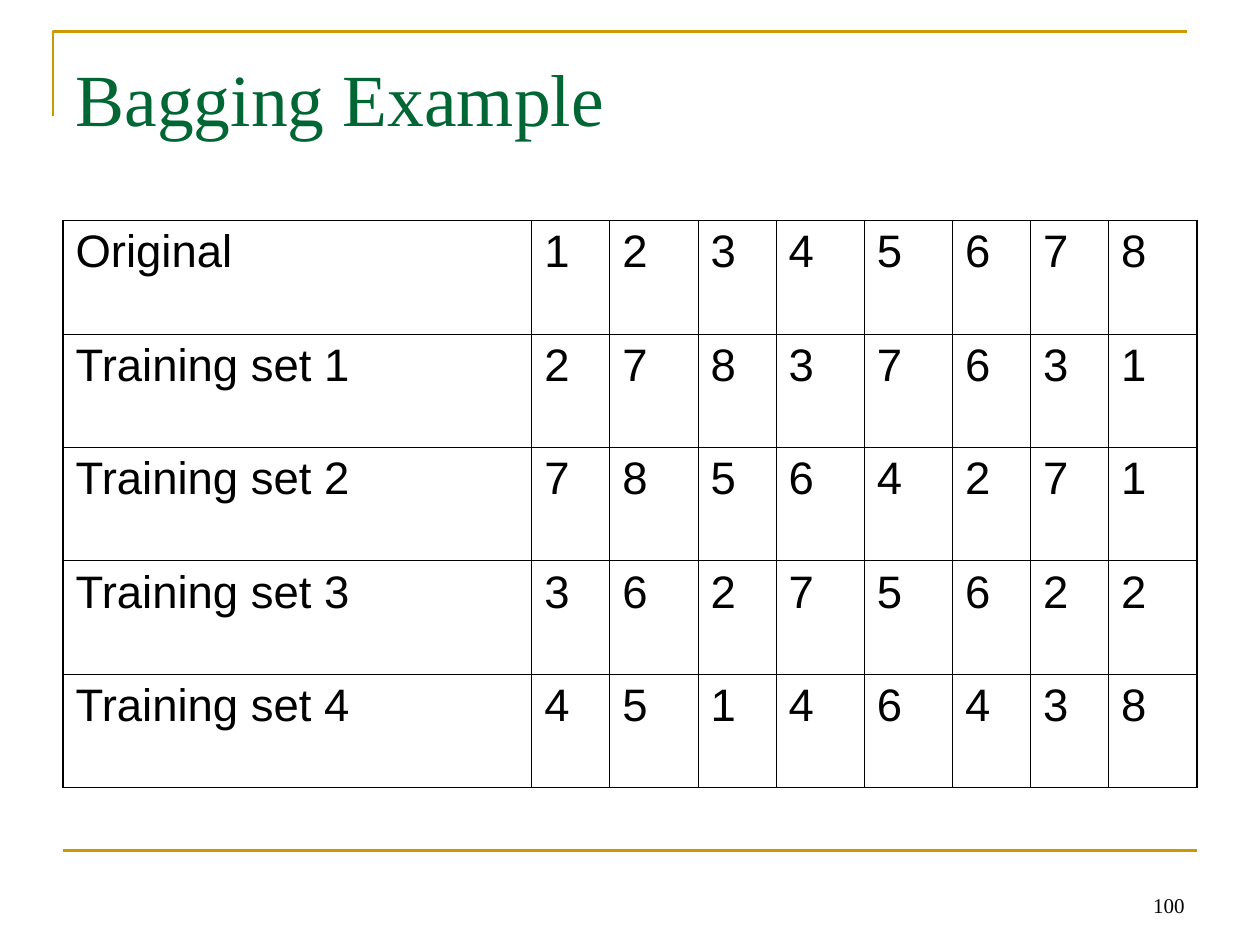
"""Build a slide with a table of bagging samples."""
from dataclasses import dataclass
from typing import Any

from lxml import etree
from pptx import Presentation
from pptx.dml.color import RGBColor
from pptx.enum import shapes, text
from pptx.oxml import ns
from pptx.util import Inches, Pt


@dataclass(frozen=True)
class Theme:
    ink: str = "000000"
    green: str = "006633"
    gold: str = "CC9900"
    serif: str = "Times New Roman"
    sans: str = "Arial"
    head: float = 42
    body: float = 26
    small: float = 12
    rule: float = 1.5
    edge: float = 1.08
    grid: float = 0.45


@dataclass(frozen=True)
class Row:
    label: str
    picks: str


THEME = Theme()
ROWS = [
    Row("Original", "12345678"),
    Row("Training set 1", "27837631"),
    Row("Training set 2", "78564271"),
    Row("Training set 3", "36275622"),
    Row("Training set 4", "45146438"),
]
SLIM, WIDE = 0.62, 0.7
COLS = [3.72, SLIM, WIDE, SLIM, WIDE, WIDE, SLIM, SLIM, WIDE]
HIGH = 0.9


def write(frame: Any, words: str, *, size: float, font: str = THEME.serif,
          color: str = THEME.ink, align: Any = text.PP_ALIGN.LEFT,
          before: float = 0) -> None:
    para = frame.paragraphs[0]
    para.alignment = align
    para.space_before = Pt(before)
    run = para.add_run()
    run.text = words
    run.font.size = Pt(size)
    run.font.name = font
    run.font.color.rgb = RGBColor.from_string(color)


def ink(line: Any) -> None:
    line.color.rgb = RGBColor.from_string(THEME.gold)
    line.width = Pt(THEME.rule)


def frame(slide: Any) -> None:
    left, top = Inches(0.42), Inches(0.25)
    pen = slide.shapes.build_freeform(left, Inches(0.92))
    pen.add_line_segments([(left, top), (Inches(9.42), top)], close=False)
    corner = pen.convert_to_shape()
    corner.shadow.inherit = False
    corner.fill.background()
    ink(corner.line)
    base = slide.shapes.add_connector(
        shapes.MSO_CONNECTOR.STRAIGHT,
        Inches(0.5), Inches(6.75), Inches(9.5), Inches(6.75))
    ink(base.line)
    etree.SubElement(base._element.spPr, ns.qn("a:effectLst"))


def border(cell: Any, sides: dict[str, float]) -> None:
    props = cell._tc.get_or_add_tcPr()
    for side, width in sides.items():
        line = etree.SubElement(props, ns.qn(f"a:ln{side}"), w=str(Pt(width)))
        fill = etree.SubElement(line, ns.qn("a:solidFill"))
        etree.SubElement(fill, ns.qn("a:srgbClr"), val=THEME.ink)


def table(slide: Any, rows: list[Row]) -> None:
    grid = slide.shapes.add_table(
        len(rows), len(COLS), Inches(0.5), Inches(1.75),
        Inches(sum(COLS)), Inches(HIGH * len(rows))).table
    grid.first_row = grid.horz_banding = False
    for col, width in zip(grid.columns, COLS):
        col.width = Inches(width)
    for r, row in enumerate(rows):
        for c, words in enumerate([row.label, *row.picks]):
            cell = grid.cell(r, c)
            outer = {"L": c == 0, "R": c == len(COLS) - 1,
                     "T": r == 0, "B": r == len(rows) - 1}
            border(cell, {side: THEME.edge if out else THEME.grid
                          for side, out in outer.items()})
            cell.fill.background()
            write(cell.text_frame, words, size=THEME.body,
                  font=THEME.sans, before=6.5)


def title(slide: Any, words: str) -> None:
    box = slide.shapes.title
    box.left, box.top = Inches(0.5), Inches(0.3)
    box.width, box.height = Inches(9), Inches(1.04)
    body = box.text_frame
    body.vertical_anchor = text.MSO_ANCHOR.TOP
    body.margin_top = Inches(0.12)
    write(body, words, size=THEME.head, color=THEME.green)


def number(slide: Any, words: str) -> None:
    body = slide.shapes.add_textbox(
        Inches(7.17), Inches(6.83), Inches(2.33), Inches(0.5)).text_frame
    body.word_wrap = True
    body.vertical_anchor = text.MSO_ANCHOR.BOTTOM
    write(body, words, size=THEME.small, align=text.PP_ALIGN.RIGHT)


def main() -> None:
    deck = Presentation()
    deck.slide_width, deck.slide_height = Inches(10), Inches(7.5)
    slide = deck.slides.add_slide(deck.slide_layouts[5])
    frame(slide)
    number(slide, "100")
    title(slide, "Bagging Example")
    table(slide, ROWS)
    deck.save("out.pptx")


if __name__ == "__main__":
    main()
